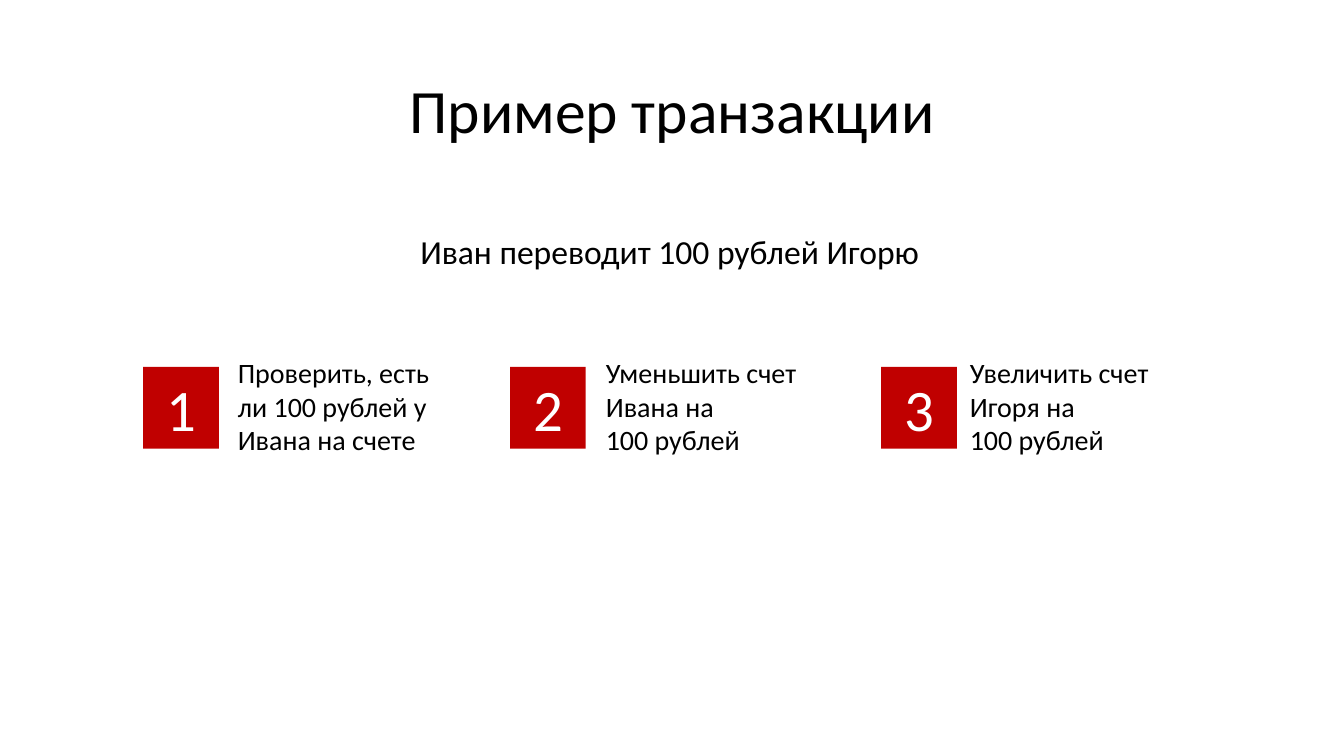
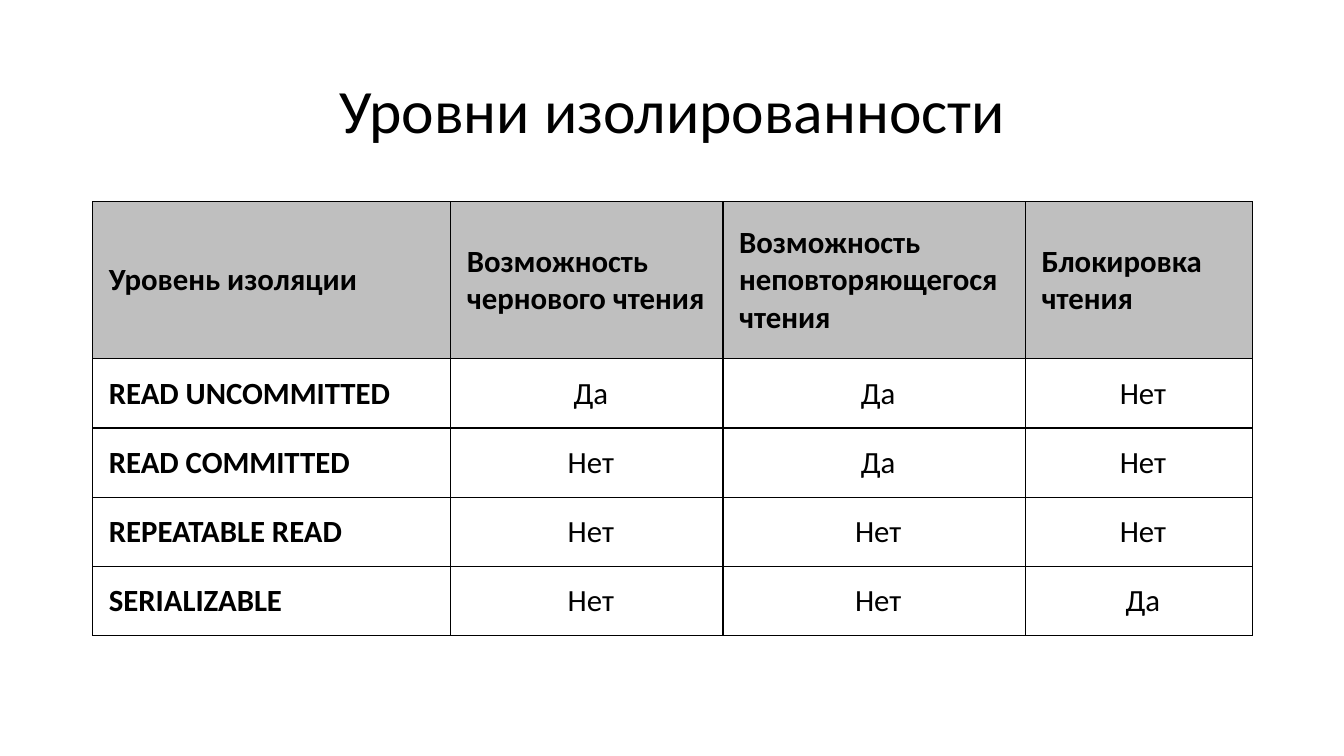
from dataclasses import dataclass

from lxml import etree
from pptx import Presentation
from pptx.dml.color import RGBColor
from pptx.enum.shapes import MSO_SHAPE
from pptx.enum.text import MSO_ANCHOR, PP_ALIGN
from pptx.oxml.ns import qn
from pptx.presentation import Presentation as Deck
from pptx.shapes.autoshape import Shape
from pptx.slide import Slide
from pptx.table import _Cell as Cell
from pptx.text.text import TextFrame
from pptx.util import Inches, Pt

RECTANGLE = MSO_SHAPE.RECTANGLE
TOP, MIDDLE = MSO_ANCHOR.TOP, MSO_ANCHOR.MIDDLE
LEFT, CENTER = PP_ALIGN.LEFT, PP_ALIGN.CENTER
BLANK_LAYOUT = 6


@dataclass(frozen=True)
class Theme:
    font: str = "Calibri"
    ink: str = "000000"
    paper: str = "FFFFFF"
    accent: str = "C00000"
    header: str = "BFBFBF"
    title_size: int = 44
    number_size: int = 42
    lead_size: int = 24
    table_size: int = 22
    step_size: int = 20
    border_width: int = 1


@dataclass(frozen=True)
class Step:
    number_left: float
    text_left: float
    text: str


THEME = Theme()

STEPS = (
    Step(1.42, 2.26, "Проверить, есть\nли 100 рублей у\nИвана на счете"),
    Step(5.06, 5.91, "Уменьшить счет\nИвана на\n100 рублей"),
    Step(8.74, 9.52, "Увеличить счет\nИгоря на\n100 рублей"),
)

COLUMN_WIDTHS = (3.55, 2.7, 3, 2.25)
HEADER_HEIGHT, ROW_HEIGHT = 1.56, 0.68
LEVELS = (
    ("Уровень изоляции", "Возможность\nчернового чтения",
     "Возможность\nнеповторяющегося чтения", "Блокировка чтения"),
    ("READ UNCOMMITTED", "Да", "Да", "Нет"),
    ("READ COMMITTED", "Нет", "Да", "Нет"),
    ("REPEATABLE READ", "Нет", "Нет", "Нет"),
    ("SERIALIZABLE", "Нет", "Нет", "Да"),
)


def write_text(frame: TextFrame, text: str, *, size: int, color: str = THEME.ink,
               bold: bool = False, align: PP_ALIGN = LEFT, line_spacing: float = 1.0,
               spacing: float = 0, indent: float = 0) -> None:
    """Write one paragraph; a newline becomes a line break."""
    paragraph = frame.paragraphs[0]
    paragraph.text = text.replace("\n", "\v")
    paragraph.alignment = align
    paragraph.line_spacing = line_spacing
    paragraph.space_before = paragraph.space_after = Pt(spacing)
    paragraph._p.get_or_add_pPr().set("marL", str(Inches(indent)))
    for run in paragraph.runs:
        run.font.name = THEME.font
        run.font.size = Pt(size)
        run.font.bold = bold
        run.font.color.rgb = RGBColor.from_string(color)


def add_text(slide: Slide, text: str, left: float, top: float, width: float,
             height: float, *, anchor: MSO_ANCHOR = TOP, wrap: bool = True,
             **text_format) -> Shape:
    box = slide.shapes.add_textbox(Inches(left), Inches(top), Inches(width), Inches(height))
    box.text_frame.word_wrap = wrap
    box.text_frame.vertical_anchor = anchor
    write_text(box.text_frame, text, **text_format)
    return box


def add_titled_slide(presentation: Deck, title: str) -> Slide:
    slide = presentation.slides.add_slide(presentation.slide_layouts[BLANK_LAYOUT])
    add_text(slide, title, 0.92, 0.4, 11.5, 1.45, anchor=MIDDLE,
             size=THEME.title_size, align=CENTER, line_spacing=0.9)
    return slide


def add_step(slide: Slide, number: int, step: Step) -> None:
    add_text(slide, step.text, step.text_left, 3.48, 2.85, 1.11, size=THEME.step_size)
    square = slide.shapes.add_shape(RECTANGLE, Inches(step.number_left), Inches(3.64),
                                    Inches(0.75), Inches(0.81))
    square.shadow.inherit = False
    square.fill.solid()
    square.fill.fore_color.rgb = RGBColor.from_string(THEME.accent)
    square.line.fill.background()
    square.text_frame.word_wrap = False
    square.text_frame.vertical_anchor = MIDDLE
    write_text(square.text_frame, str(number), size=THEME.number_size,
               color=THEME.paper, align=CENTER)


def add_borders(cell: Cell) -> None:
    properties = cell._tc.get_or_add_tcPr()
    for side in ("a:lnL", "a:lnR", "a:lnT", "a:lnB"):
        line = etree.SubElement(properties, qn(side), w=str(Pt(THEME.border_width)))
        fill = etree.SubElement(line, qn("a:solidFill"))
        etree.SubElement(fill, qn("a:srgbClr"), val=THEME.ink)


def format_cell(cell: Cell, text: str, is_header: bool, is_label: bool) -> None:
    cell.vertical_anchor = MIDDLE
    cell.margin_left = cell.margin_right = Inches(0.08)
    cell.margin_top = cell.margin_bottom = Inches(0.16)
    add_borders(cell)
    cell.fill.solid()
    cell.fill.fore_color.rgb = RGBColor.from_string(THEME.header if is_header else THEME.paper)
    emphasized = is_header or is_label
    write_text(cell.text_frame, text, size=THEME.table_size, bold=emphasized,
               align=LEFT if emphasized else CENTER, spacing=12, indent=0.08)


def add_levels_table(slide: Slide) -> None:
    heights = [HEADER_HEIGHT] + [ROW_HEIGHT] * (len(LEVELS) - 1)
    table = slide.shapes.add_table(len(LEVELS), len(COLUMN_WIDTHS), Inches(0.92), Inches(2),
                                   Inches(sum(COLUMN_WIDTHS)), Inches(sum(heights))).table
    table.first_row = table.horz_banding = False
    for column, width in zip(table.columns, COLUMN_WIDTHS):
        column.width = Inches(width)
    for row_index, (row, height) in enumerate(zip(table.rows, heights)):
        row.height = Inches(height)
        for column_index, text in enumerate(LEVELS[row_index]):
            format_cell(table.cell(row_index, column_index), text,
                        is_header=row_index == 0, is_label=column_index == 0)


def main() -> None:
    presentation = Presentation()
    presentation.slide_width, presentation.slide_height = Inches(13.33), Inches(7.5)

    # Transaction steps
    slide = add_titled_slide(presentation, "Пример транзакции")
    add_text(slide, "Иван переводит 100 рублей Игорю", 4.07, 2.24, 5.2, 0.5,
             wrap=False, size=THEME.lead_size)
    for number, step in enumerate(STEPS, start=1):
        add_step(slide, number, step)

    # Isolation levels
    add_levels_table(add_titled_slide(presentation, "Уровни изолированности"))

    presentation.save("out.pptx")


if __name__ == "__main__":
    main()
